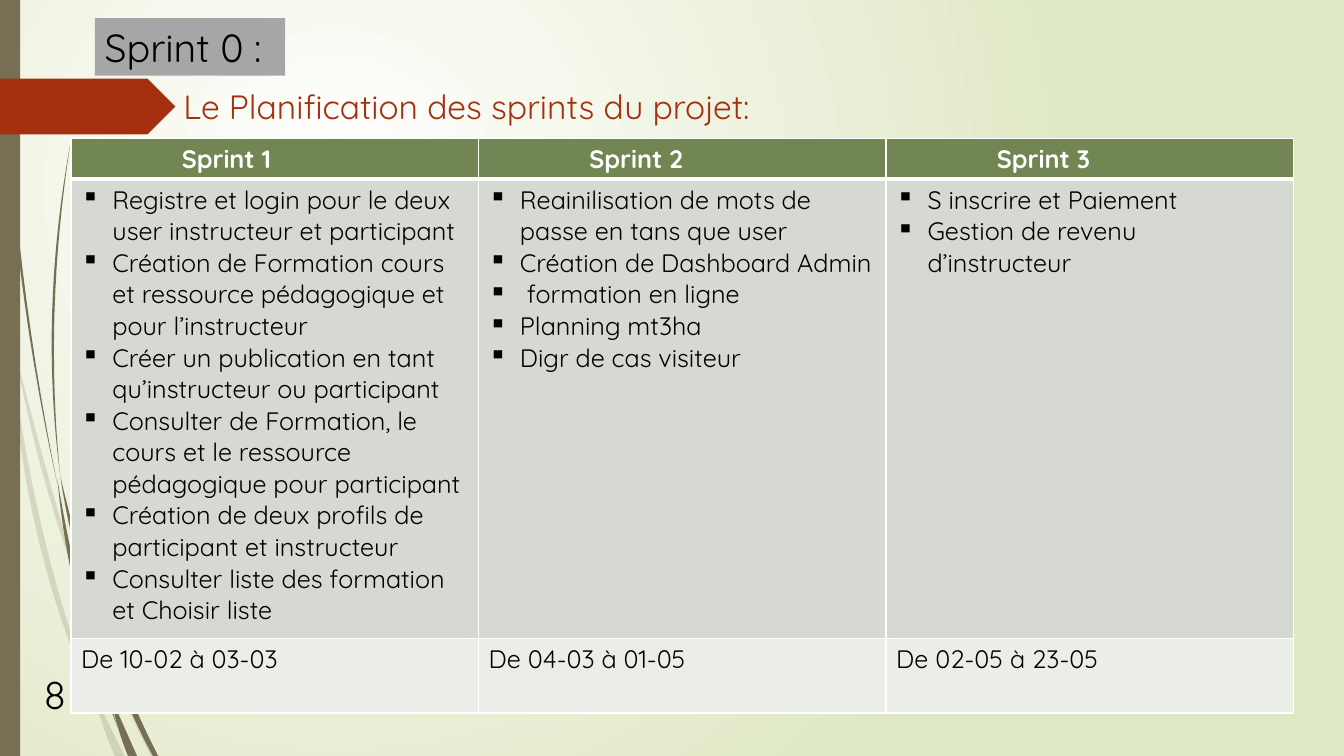
from dataclasses import dataclass

from lxml import etree
from pptx import Presentation
from pptx.dml.color import RGBColor
from pptx.enum.shapes import MSO_SHAPE
from pptx.enum.text import MSO_ANCHOR, PP_ALIGN
from pptx.oxml.ns import qn
from pptx.util import Cm, Pt

RECTANGLE = MSO_SHAPE.RECTANGLE
ARROW_TAG = MSO_SHAPE.PENTAGON
MIDDLE = MSO_ANCHOR.MIDDLE
TOP = MSO_ANCHOR.TOP
LEFT = PP_ALIGN.LEFT
CENTER = PP_ALIGN.CENTER


@dataclass(frozen=True)
class Theme:
    font: str = "Quicksand"
    glow: str = "FFFFFF"
    edge: str = "DFE8C4"
    stem: str = "766F54"
    accent: str = "A53010"
    label: str = "A6A6A6"
    ink: str = "000000"
    white: str = "FFFFFF"
    header: str = "728653"
    body: str = "D5D9D1"
    footer: str = "EBEDE9"
    large: int = 28
    heading: int = 24
    normal: int = 18


@dataclass(frozen=True)
class Box:
    left: float
    top: float
    width: float
    height: float

    def inner(self, left, top, width, height):
        return Box(self.left + left, self.top + top, width, height)

    def lengths(self):
        return [Cm(side) for side in (self.left, self.top, self.width, self.height)]


@dataclass(frozen=True)
class Blade:
    tip: tuple
    bend: tuple
    root: tuple
    belly: float
    foot: float = 0
    opacity: int = 100


THEME = Theme()
PAGE = Box(0, 0, 33.87, 19.05)
CURVE_STEPS = 16

BLADES = [
    Blade((0.36, 8.76), (1.1, 12.2), (2.16, 15.2), 0.12, opacity=20),
    Blade((0.28, 8.89), (0.75, 14), (2.57, 18.14), 0.16, opacity=20),
    Blade((2.24, 15.14), (2.92, 17.15), (3.87, 19.05), 0.1, 0.13, 20),
    Blade((2.36, 17.4), (2.65, 18.3), (3.02, 19.05), 0.1, 0.25, 20),
    Blade((0.09, 0), (0.15, 6.1), (1.45, 12.22), 0.06),
    Blade((1.78, 3.58), (1.04, 7.9), (1.52, 12), 0.06),
    Blade((1.45, 12.1), (1.85, 15.2), (2.97, 18.34), 0.12),
    Blade((1.52, 12), (1.95, 14.2), (2.7, 16.4), 0.1),
    Blade((2.79, 16.28), (3.15, 17.6), (3.92, 19.05), 0.1, 0.13),
    Blade((2.79, 17.55), (3.02, 18.3), (3.34, 19.05), 0.1, 0.23),
]

SPRINTS = [
    ("Sprint 1", [
        "Registre et login pour le deux user instructeur et participant",
        "Création de Formation cours et ressource pédagogique et pour l’instructeur",
        "Créer un publication en tant qu’instructeur ou participant",
        "Consulter de Formation, le cours et le ressource pédagogique pour participant",
        "Création de deux profils de participant et instructeur",
        "Consulter liste des formation et Choisir liste",
    ], "De 10-02 à 03-03"),
    ("Sprint 2", [
        "Reainilisation de mots de passe en tans que user",
        "Création de Dashboard Admin",
        " formation en ligne",
        "Planning mt3ha",
        "Digr de cas visiteur",
    ], "De 04-03 à 01-05"),
    ("Sprint 3", ["S inscrire et Paiement", "Gestion de revenu d’instructeur"],
     "De 02-05 à 23-05"),
]


def color(code):
    return RGBColor.from_string(code)


def paint(shape, code, opacity=100):
    shape.shadow.inherit = False
    shape.fill.solid()
    shape.fill.fore_color.rgb = color(code)
    shape.line.fill.background()
    if opacity < 100:
        tint = shape.element.spPr.find(".//" + qn("a:srgbClr"))
        etree.SubElement(tint, qn("a:alpha"), val=str(opacity * 1000))


def write(frame, text, size, ink, bold=False, align=LEFT):
    frame.text = text
    for para in frame.paragraphs:
        para.alignment = align
        for span in para.runs:
            span.font.name = THEME.font
            span.font.size = Pt(size)
            span.font.bold = bold
            span.font.color.rgb = color(ink)


def indent(para, margin, first=0.0, bullet=None):
    settings = para._p.get_or_add_pPr()
    settings.set("marL", str(Cm(margin)))
    settings.set("indent", str(Cm(first)))
    if bullet:
        etree.SubElement(settings, qn("a:buChar"), char=bullet)


def add_background(page):
    fill = page.background.fill
    fill.gradient()
    for stop, code, position in zip(fill.gradient_stops, (THEME.glow, THEME.edge), (0, 1)):
        stop.color.rgb = color(code)
        stop.position = position
    gradient = page.element.find(".//" + qn("a:gradFill"))
    circle = etree.Element(qn("a:path"), {"path": "circle"})
    etree.SubElement(circle, qn("a:fillToRect"), l="50000", t="50000", r="100000", b="100000")
    gradient.replace(gradient.find(qn("a:lin")), circle)


def blade_edge(box, blade, side):
    offsets = (0, side * blade.belly, side * blade.foot / 2)
    corners = [(box.left + x + offset, box.top + y)
               for (x, y), offset in zip((blade.tip, blade.bend, blade.root), offsets)]
    edge = []
    for step in range(CURVE_STEPS + 1):
        t = step / CURVE_STEPS
        weights = ((1 - t) ** 2, 2 * t * (1 - t), t * t)
        edge.append(tuple(Cm(sum(weight * corner[axis] for weight, corner in zip(weights, corners)))
                          for axis in (0, 1)))
    return edge


def add_grass(page, box):
    for blade in BLADES:
        outline = blade_edge(box, blade, -1) + blade_edge(box, blade, 1)[::-1]
        builder = page.shapes.build_freeform(*outline[0])
        builder.add_line_segments(outline[1:], close=True)
        paint(builder.convert_to_shape(), THEME.stem, blade.opacity)
    spine = page.shapes.add_shape(RECTANGLE, *box.inner(0, 0, 0.51, box.height).lengths())
    paint(spine, THEME.stem)


def add_text(page, box, text, size, ink, align=LEFT, wrap=True):
    label = page.shapes.add_textbox(*box.lengths())
    label.text_frame.word_wrap = wrap
    write(label.text_frame, text, size, ink, align=align)


def add_heading(page, box):
    tag = page.shapes.add_shape(ARROW_TAG, *box.inner(0, 1.98, 4.42, 1.41).lengths())
    paint(tag, THEME.accent)
    add_text(page, box.inner(4.37, 2.03, 15.44, 1.27), "Le Planification des sprints du projet:",
             THEME.heading, THEME.accent, wrap=False)
    label = page.shapes.add_shape(RECTANGLE, *box.inner(2.39, 0.46, 4.8, 1.45).lengths())
    paint(label, THEME.label)
    label.text_frame.word_wrap = False
    label.text_frame.vertical_anchor = MIDDLE
    write(label.text_frame, "Sprint 0 :", THEME.large, THEME.ink)


def style_cell(cell, code, bottom=1):
    settings = cell._tc.get_or_add_tcPr()
    for side, width in (("L", 1), ("R", 1), ("T", 1), ("B", bottom)):
        border = etree.SubElement(settings, qn("a:ln" + side), w=str(Pt(width)))
        fill = etree.SubElement(border, qn("a:solidFill"))
        etree.SubElement(fill, qn("a:srgbClr"), val=THEME.white)
    cell.fill.solid()
    cell.fill.fore_color.rgb = color(code)
    cell.vertical_anchor = TOP


def add_sprint_table(page, box):
    table = page.shapes.add_table(3, len(SPRINTS), *box.lengths()).table
    for row, height in zip(table.rows, (1.0, 11.58, box.height - 12.58)):
        row.height = Cm(height)
    for index, (name, tasks, dates) in enumerate(SPRINTS):
        table.columns[index].width = Cm(box.width / len(SPRINTS))
        header, body, footer = (table.cell(row, index) for row in range(3))
        style_cell(header, THEME.header, bottom=3)
        style_cell(body, THEME.body)
        style_cell(footer, THEME.footer)
        write(header.text_frame, name, THEME.normal, THEME.white, bold=True)
        indent(header.text_frame.paragraphs[0], 2.54)
        write(body.text_frame, "\n".join(tasks), THEME.normal, THEME.ink)
        for para in body.text_frame.paragraphs:
            indent(para, 0.79, -0.79, "▪")
        write(footer.text_frame, dates, THEME.normal, THEME.ink)


def build_planning_slide(deck):
    page = deck.slides.add_slide(deck.slide_layouts[6])
    add_background(page)
    add_grass(page, PAGE)
    add_heading(page, PAGE.inner(0, 0, PAGE.width, 3.4))
    add_text(page, PAGE.inner(0, 16.76, 2.77, 1.45), "8", THEME.large, THEME.ink, CENTER)
    add_sprint_table(page, PAGE.inner(1.79, 3.49, 30.81, 14.46))


def main():
    deck = Presentation()
    deck.slide_width = Cm(PAGE.width)
    deck.slide_height = Cm(PAGE.height)
    build_planning_slide(deck)
    deck.save("out.pptx")


if __name__ == "__main__":
    main()
